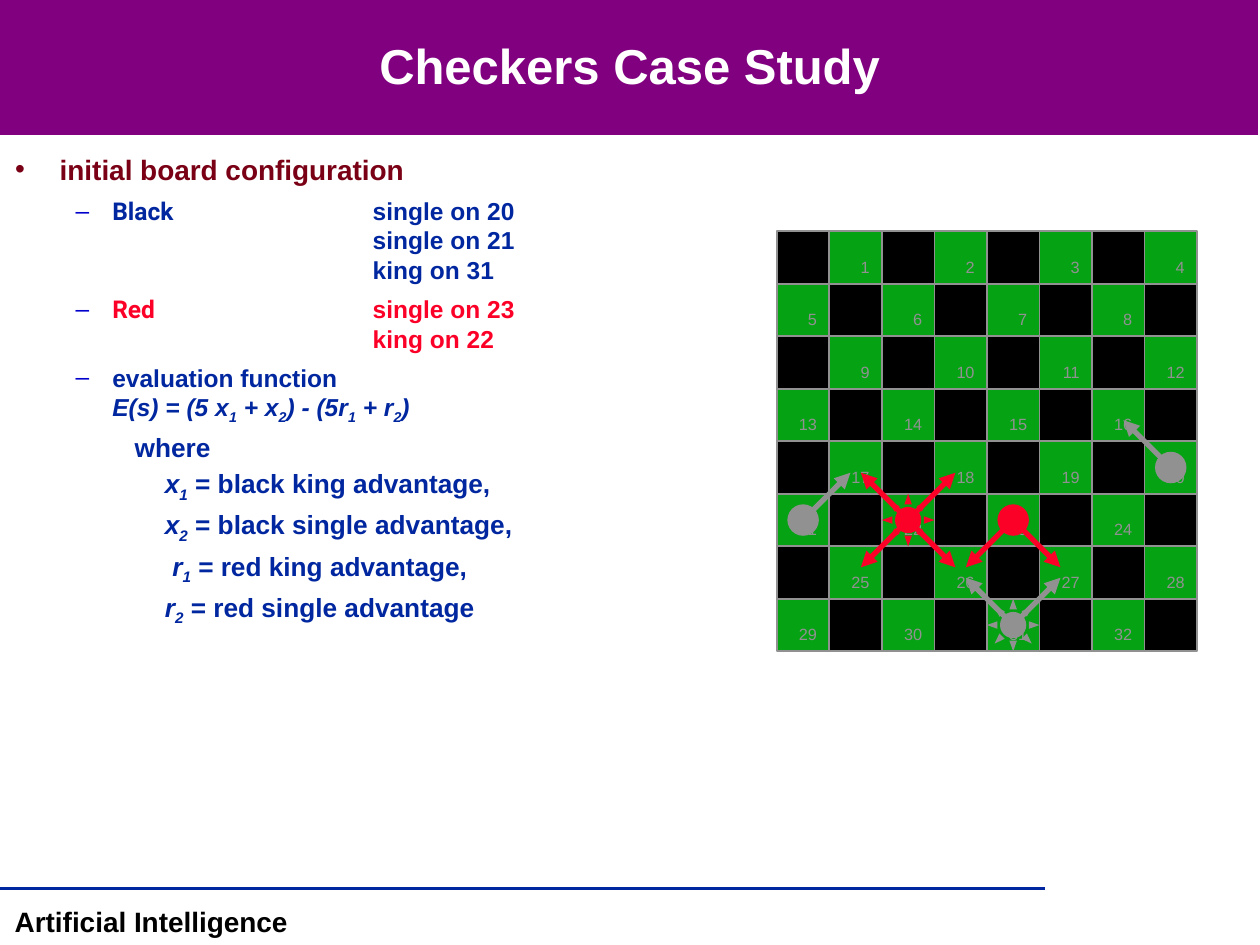
import dataclasses

import lxml.etree
import pptx
import pptx.dml.color
import pptx.enum.shapes
import pptx.enum.text
import pptx.oxml.ns
import pptx.util

Cm = pptx.util.Cm
Pt = pptx.util.Pt
SHAPE = pptx.enum.shapes.MSO_SHAPE
ALIGN = pptx.enum.text.PP_ALIGN
ANCHOR = pptx.enum.text.MSO_ANCHOR
AUTO_SIZE = pptx.enum.text.MSO_AUTO_SIZE


@dataclasses.dataclass(frozen=True)
class Theme:
    font: str = "Arial"
    label_font: str = "Roboto"
    banner: str = "800080"
    white: str = "FFFFFF"
    black: str = "000000"
    maroon: str = "790015"
    navy: str = "00279F"
    dash: str = "0000CC"
    red: str = "FC0128"
    gray: str = "919191"
    green: str = "05A314"
    title_size: int = 28
    heading_size: int = 16
    item_size: int = 14
    detail_size: int = 15


THEME = Theme()


# Shared helpers
def rgb(value):
    return pptx.dml.color.RGBColor.from_string(value)


def set_attributes(target, values):
    for name, value in values.items():
        setattr(target, name, value)


def add_xml(parent, tag, **attributes):
    element = lxml.etree.SubElement(parent, pptx.oxml.ns.qn(tag))
    for name, value in attributes.items():
        element.set(name, str(value))
    return element


def place(shape, box):
    left, top, width, height = map(Cm, box)
    set_attributes(shape, dict(left=left, top=top, width=width, height=height))


def add_run(paragraph, text, size, color, font=THEME.font, bold=True,
            italic=False, lowered=False):
    run = paragraph.add_run()
    run.text = text
    set_attributes(run.font, dict(name=font, size=Pt(size), bold=bold, italic=italic))
    run.font.color.rgb = rgb(color)
    if lowered:
        run._r.get_or_add_rPr().set("baseline", "-25000")


def add_formula(paragraph, text, size):
    """Write italic text in which each _ lowers the next character."""
    first, *rest = text.split("_")
    add_run(paragraph, first, size, THEME.navy, italic=True)
    for part in rest:
        add_run(paragraph, part[0], size, THEME.navy, italic=True, lowered=True)
        if part[1:]:
            add_run(paragraph, part[1:], size, THEME.navy, italic=True)


def add_filled(slide, kind, box, fill, outline=None):
    shape = slide.shapes.add_shape(kind, *map(Cm, box))
    shape.shadow.inherit = False
    shape.fill.solid()
    shape.fill.fore_color.rgb = rgb(fill)
    if outline:
        shape.line.color.rgb = rgb(outline)
        shape.line.width = Pt(1)
    else:
        shape.line.fill.background()
    return shape


def add_line(slide, start, end, color, width, arrow=False):
    line = slide.shapes.add_connector(
        pptx.enum.shapes.MSO_CONNECTOR.STRAIGHT, *map(Cm, (*start, *end)))
    line.line.color.rgb = rgb(color)
    line.line.width = Pt(width)
    if arrow:
        add_xml(line.line._get_or_add_ln(), "a:tailEnd", type="triangle")
    add_xml(line._element.spPr, "a:effectLst")


# Title on its banner
def build_title(slide, box):
    banner = add_filled(slide, SHAPE.RECTANGLE, box, THEME.banner)
    slide.shapes._spTree.insert(2, banner._element)
    title = slide.shapes.title
    left, top, width, height = box
    place(title, (left + 0.05, top + 0.02, width - 0.08, height - 0.13))
    title.text_frame.vertical_anchor = ANCHOR.MIDDLE
    paragraph = title.text_frame.paragraphs[0]
    paragraph.alignment = ALIGN.CENTER
    add_run(paragraph, "Checkers Case Study", THEME.title_size, THEME.white)


# Outline list
def build_outline(slide, box):
    body = slide.placeholders[1]
    place(body, box)
    frame = body.text_frame
    frame.auto_size = AUTO_SIZE.NONE
    unused = [frame.paragraphs[0]]

    def add_item(level, margin, indent, bullet=None, tab=None):
        paragraph = unused.pop() if unused else frame.add_paragraph()
        paragraph.level = level
        properties = paragraph._p.get_or_add_pPr()
        properties.set("marL", str(Cm(margin)))
        properties.set("indent", str(Cm(indent)))
        if bullet:
            add_xml(add_xml(properties, "a:buClr"), "a:srgbClr", val=bullet)
        else:
            add_xml(properties, "a:buNone")
        if tab:
            add_xml(add_xml(properties, "a:tabLst"), "a:tab", pos=Cm(tab), algn="l")
        return paragraph

    add_run(add_item(0, 0.9, -0.9, THEME.maroon), "initial board configuration",
            THEME.heading_size, THEME.maroon)

    sides = [("Black", THEME.navy, ["single on 20", "single on 21", "king on 31"]),
             ("Red", THEME.red, ["single on 23", "king on 22"])]
    for side, color, pieces in sides:
        paragraph = add_item(1, 1.96, -0.74, THEME.dash, tab=7.21)
        add_run(paragraph, side, THEME.item_size, color, THEME.label_font)
        for index, piece in enumerate(pieces):
            if index:
                paragraph.add_line_break()
            add_run(paragraph, "\t" + piece, THEME.item_size, color)

    paragraph = add_item(1, 1.96, -0.74, THEME.dash)
    add_run(paragraph, "evaluation function", THEME.item_size, THEME.navy)
    paragraph.add_line_break()
    add_formula(paragraph, "E(s) = (5 x_1 + x_2) - (5r_1 + r_2)", THEME.item_size)

    add_run(add_item(2, 2.41, 0), "where", THEME.detail_size, THEME.navy)
    terms = [("x_1", "black king advantage,", 0), ("x_2", "black single advantage,", 0),
             ("r_1", "red king advantage,", 0.15), ("r_2", "red single advantage", 0)]
    for symbol, meaning, indent in terms:
        paragraph = add_item(2, 3.02, indent)
        add_formula(paragraph, symbol, THEME.detail_size)
        add_run(paragraph, " = " + meaning, THEME.detail_size, THEME.navy)


# Checkers board with pieces and their moves
def build_board(slide, left, top, side):
    cell = side / 8

    def add_square(row, column):
        playable = (row + column) % 2 == 1
        square = add_filled(
            slide, SHAPE.RECTANGLE,
            (left + column * cell, top + row * cell, cell, cell),
            THEME.green if playable else THEME.black, THEME.gray)
        if playable:
            set_attributes(square.text_frame,
                           dict(word_wrap=False, vertical_anchor=ANCHOR.MIDDLE))
            paragraph = square.text_frame.paragraphs[0]
            paragraph.alignment = ALIGN.RIGHT
            add_run(paragraph, str(4 * row + column // 2 + 1), THEME.heading_size,
                    THEME.gray, bold=False, lowered=True)

    def add_piece(number, color, king, moves):
        row, position = divmod(number - 1, 4)
        column = 2 * position + (row + 1) % 2
        center_x = left + (column + 0.5) * cell
        center_y = top + (row + 0.5) * cell
        size = cell if king else 0.6 * cell
        add_filled(slide, SHAPE.SUN if king else SHAPE.OVAL,
                   (center_x - size / 2, center_y - size / 2, size, size), color)
        for across, down in moves:
            start, end = [(center_x + across * reach * cell,
                           center_y + down * reach * cell) for reach in (0.1, 0.9)]
            add_line(slide, start, end, color, 3, arrow=True)

    for row in range(8):
        for column in range(8):
            add_square(row, column)

    up_left, up_right, down_left, down_right = (-1, -1), (1, -1), (-1, 1), (1, 1)
    add_piece(21, THEME.gray, False, [up_right])
    add_piece(20, THEME.gray, False, [up_left])
    add_piece(31, THEME.gray, True, [up_left, up_right])
    add_piece(23, THEME.red, False, [down_left, down_right])
    add_piece(22, THEME.red, True, [up_left, up_right, down_left, down_right])


# Footer rule and course name
def build_footer(slide, left, top, rule_width):
    add_line(slide, (left, top), (left + rule_width, top), THEME.navy, 2)
    label = slide.shapes.add_textbox(*map(Cm, (left, top + 0.2, 6.1, 0.94)))
    label.text_frame.word_wrap = False
    paragraph = label.text_frame.paragraphs[0]
    paragraph.alignment = ALIGN.CENTER
    add_run(paragraph, "Artificial Intelligence", THEME.heading_size, THEME.black)


def main():
    presentation = pptx.Presentation()
    set_attributes(presentation, dict(slide_width=Cm(25.4), slide_height=Cm(19.05)))
    slide = presentation.slides.add_slide(presentation.slide_layouts[1])
    build_title(slide, (0, 0, 25.36, 2.72))
    build_outline(slide, (0.05, 2.95, 12.45, 14.43))
    build_board(slide, 15.66, 4.66, 8.47)
    build_footer(slide, 0, 17.91, 21.06)
    presentation.save("out.pptx")


if __name__ == "__main__":
    main()
